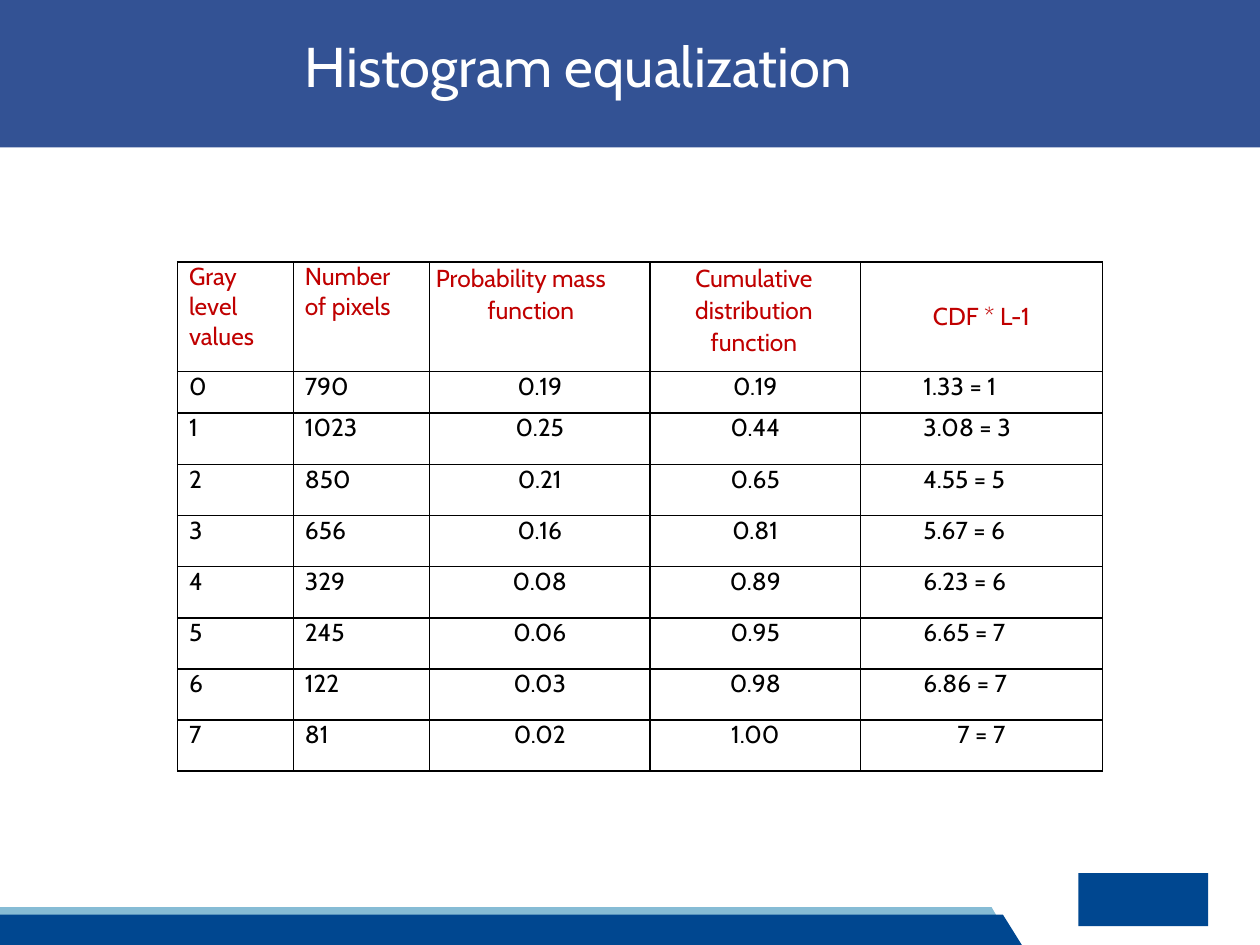
"""Build the histogram equalization slide with its table of grey levels."""
from dataclasses import dataclass

import lxml.etree
import pptx
import pptx.dml.color
import pptx.enum.shapes
import pptx.enum.text
import pptx.oxml.ns
import pptx.slide
import pptx.table
import pptx.text.text
import pptx.util

ALIGN = pptx.enum.text.PP_ALIGN
ANCHOR = pptx.enum.text.MSO_ANCHOR
WIDTH, HEIGHT = pptx.util.Inches(10), pptx.util.Inches(7.5)
COLS, ROWS = 100, 75


@dataclass(frozen=True)
class Theme:
    font: str = "Cabin"
    title_size: int = 32
    table_size: int = 14
    border_width: int = 1
    band: str = "335294"
    stripe: str = "86BCD5"
    footer: str = "004790"
    title: str = "FFFFFF"
    header: str = "C00000"
    body: str = "000000"


@dataclass(frozen=True)
class Style:
    align: ALIGN = ALIGN.LEFT
    left: float = 0
    right: float = 0
    first: float = 0
    spacing: float = 1
    anchor: ANCHOR = ANCHOR.TOP


@dataclass(frozen=True)
class Column:
    width: float
    heading: str
    head: Style
    body: Style


@dataclass(frozen=True)
class Bar:
    top: float
    bottom: float
    top_right: float
    bottom_right: float
    color: str


THEME = Theme()
INDENTED = Style(left=0.9)
CENTERED = Style(align=ALIGN.CENTER)
COLUMNS = [
    Column(9.2, "Gray level values", Style(left=0.9, right=2), INDENTED),
    Column(10.8, "Number of pixels", Style(left=0.9, right=1), INDENTED),
    Column(17.5, "Probability mass function",
           Style(left=4.6, first=-4.1, spacing=1.07), CENTERED),
    Column(16.7, "Cumulative distribution function",
           Style(align=ALIGN.CENTER, left=2.6, right=2.8, spacing=1.07), CENTERED),
    Column(19.2, "CDF * L-1",
           Style(align=ALIGN.CENTER, anchor=ANCHOR.MIDDLE), Style(left=5)),
]
LEVELS = [
    ("790", "0.19", "0.19", "1.33 = 1"),
    ("1023", "0.25", "0.44", "3.08 = 3"),
    ("850", "0.21", "0.65", "4.55 = 5"),
    ("656", "0.16", "0.81", "5.67 = 6"),
    ("329", "0.08", "0.89", "6.23 = 6"),
    ("245", "0.06", "0.95", "6.65 = 7"),
    ("122", "0.03", "0.98", "6.86 = 7"),
    ("81", "0.02", "1.00", "7 = 7"),
]
ROW_HEIGHTS = [8.7, 3.3] + [4.06] * 7
BARS = [
    Bar(72, 74.6, 78.7, 80.2, THEME.stripe),
    Bar(72.6, 75, 79.6, 81.1, THEME.footer),
]


def x(cols: float) -> int:
    """Turn grid columns into a length."""
    return round(WIDTH * cols / COLS)


def y(rows: float) -> int:
    """Turn grid rows into a length."""
    return round(HEIGHT * rows / ROWS)


def rgb(color: str) -> pptx.dml.color.RGBColor:
    """Turn a hex string into a colour."""
    return pptx.dml.color.RGBColor.from_string(color)


def write(tf: pptx.text.text.TextFrame, text: str, *, size: int, color: str,
          style: Style) -> None:
    """Put formatted text into a text frame."""
    p = tf.paragraphs[0]
    p.alignment, p.line_spacing = style.align, style.spacing
    pPr = p._p.get_or_add_pPr()
    pPr.set("marL", str(x(style.left)))
    pPr.set("indent", str(x(style.first)))
    r = p.add_run()
    r.text = text
    r.font.name, r.font.size = THEME.font, pptx.util.Pt(size)
    r.font.color.rgb = rgb(color)


def paint(sp, color: str) -> None:
    """Give a shape a plain fill without line or shadow."""
    sp.shadow.inherit = False
    sp.fill.solid()
    sp.fill.fore_color.rgb = rgb(color)
    sp.line.fill.background()


def add_block(s: pptx.slide.Slide, left: float, top: float, width: float,
              height: float, color: str) -> None:
    """Draw a plain rectangle."""
    kind = pptx.enum.shapes.MSO_SHAPE.RECTANGLE
    paint(s.shapes.add_shape(kind, x(left), y(top), x(width), y(height)), color)


def add_bar(s: pptx.slide.Slide, bar: Bar) -> None:
    """Draw a footer bar with a slanted right end."""
    builder = s.shapes.build_freeform(0, y(bar.top))
    builder.add_line_segments([
        (x(bar.top_right), y(bar.top)),
        (x(bar.bottom_right), y(bar.bottom)),
        (0, y(bar.bottom)),
    ])
    paint(builder.convert_to_shape(), bar.color)


def add_borders(cell: pptx.table._Cell) -> None:
    """Draw a line on each side of a cell."""
    qn = pptx.oxml.ns.qn
    tcPr = cell._tc.get_or_add_tcPr()
    for side in ("a:lnL", "a:lnR", "a:lnT", "a:lnB"):
        ln = lxml.etree.SubElement(
            tcPr, qn(side), w=str(pptx.util.Pt(THEME.border_width)))
        fill = lxml.etree.SubElement(ln, qn("a:solidFill"))
        lxml.etree.SubElement(fill, qn("a:srgbClr"), val=THEME.body)


def fill_cell(cell: pptx.table._Cell, text: str, color: str, style: Style) -> None:
    """Write and format one table cell."""
    cell.margin_left = cell.margin_top = cell.margin_bottom = 0
    cell.margin_right = x(style.right)
    cell.vertical_anchor = style.anchor
    add_borders(cell)
    cell.fill.background()
    write(cell.text_frame, text, size=THEME.table_size, color=color, style=style)


def add_levels_table(s: pptx.slide.Slide) -> None:
    """Draw the table of grey levels."""
    table = s.shapes.add_table(
        len(ROW_HEIGHTS), len(COLUMNS), x(14.1), y(20.8),
        x(sum(c.width for c in COLUMNS)), y(sum(ROW_HEIGHTS))).table
    table.first_row = table.horz_banding = False
    for row, height in zip(table.rows, ROW_HEIGHTS):
        row.height = y(height)
    for j, column in enumerate(COLUMNS):
        table.columns[j].width = x(column.width)
        fill_cell(table.cell(0, j), column.heading, THEME.header, column.head)
        for i, values in enumerate(LEVELS):
            last = i == len(LEVELS) - 1 and j == len(COLUMNS) - 1
            fill_cell(table.cell(i + 1, j), (str(i), *values)[j], THEME.body,
                      CENTERED if last else column.body)


def add_title(s: pptx.slide.Slide, text: str) -> None:
    """Place and format the slide title."""
    sp = s.shapes.title
    sp.left, sp.top, sp.width, sp.height = x(9), y(2.5), x(82.1), y(5.9)
    tf = sp.text_frame
    tf.margin_left = tf.margin_top = tf.margin_right = tf.margin_bottom = 0
    tf.word_wrap, tf.vertical_anchor = True, ANCHOR.TOP
    tf.auto_size = pptx.enum.text.MSO_AUTO_SIZE.NONE
    write(tf, text, size=THEME.title_size, color=THEME.title, style=Style(left=15.2))
    s.shapes._spTree.append(sp._element)


def main() -> None:
    """Build and save the slide."""
    prs = pptx.Presentation()
    prs.slide_width, prs.slide_height = WIDTH, HEIGHT
    s = prs.slides.add_slide(prs.slide_layouts[5])
    add_block(s, 0, 0, COLS, 11.7, THEME.band)
    for bar in BARS:
        add_bar(s, bar)
    add_block(s, 85.6, 69.3, 10.3, 4.2, THEME.footer)
    add_title(s, "Histogram equalization")
    add_levels_table(s)
    prs.save("out.pptx")


if __name__ == "__main__":
    main()
